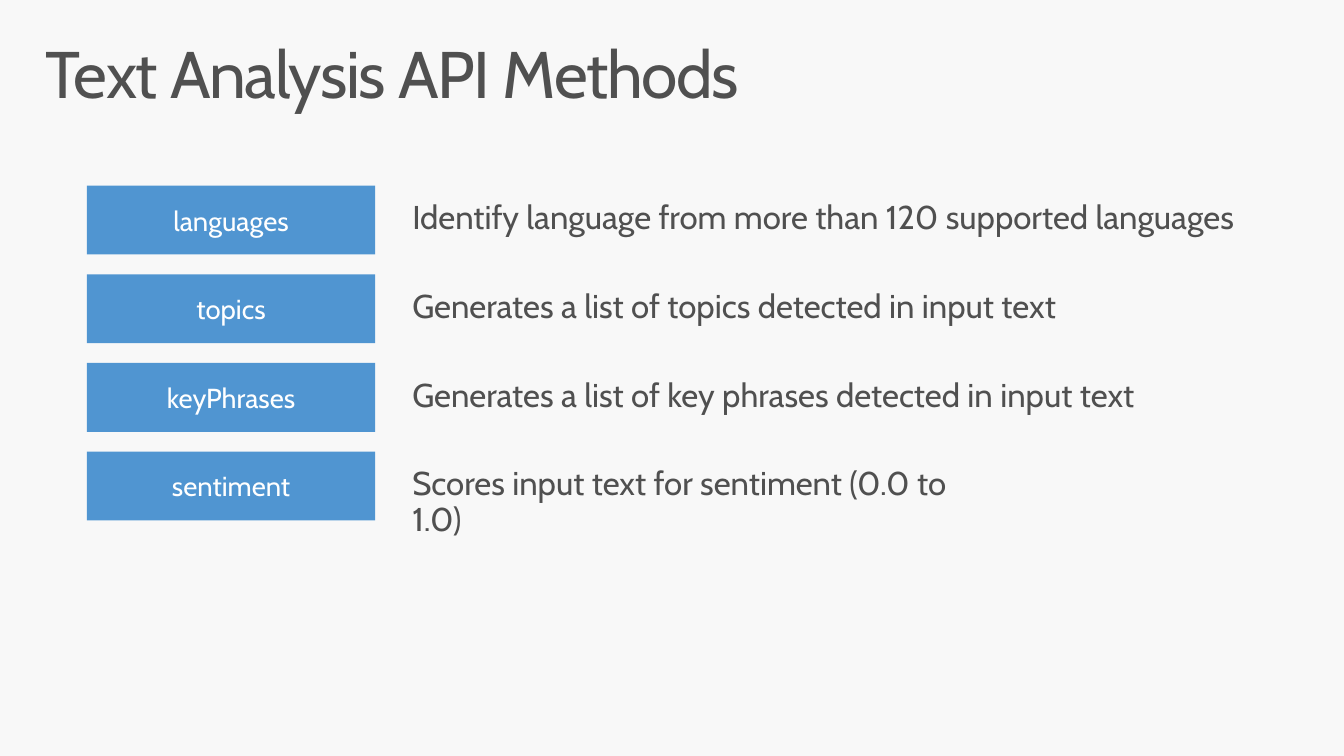
"""Builds the slide that lists the text analysis API methods."""
from dataclasses import dataclass

from pptx import Presentation
from pptx.dml.color import RGBColor
from pptx.enum.shapes import MSO_SHAPE
from pptx.enum.text import MSO_ANCHOR, MSO_AUTO_SIZE, PP_ALIGN
from pptx.slide import Slide
from pptx.text.text import TextFrame
from pptx.util import Pt


@dataclass(frozen=True)
class Theme:
    font: str = "Cabin"
    background: RGBColor = RGBColor(0xF8, 0xF8, 0xF8)
    ink: RGBColor = RGBColor(0x50, 0x50, 0x50)
    accent: RGBColor = RGBColor(0x50, 0x95, 0xD1)
    on_accent: RGBColor = RGBColor(0xFF, 0xFF, 0xFF)
    title_size: int = 48
    description_size: int = 24
    method_size: int = 20


@dataclass(frozen=True)
class Method:
    name: str
    description: str
    description_width: float


THEME = Theme()
METHODS = (
    Method("languages", "Identify language from more than 120 supported languages", 634.5),
    Method("topics", "Generates a list of topics detected in input text", 498.5),
    Method("keyPhrases", "Generates a list of key phrases detected in input text", 568),
    Method("sentiment", "Scores input text for sentiment (0.0 to 1.0)", 448.5),
)
FIRST_ROW_TOP = 135.2
ROW_PITCH = 64.6
ROW_HEIGHT = 50.2
METHOD_LEFT = 63.4
METHOD_WIDTH = 210
DESCRIPTION_LEFT = 286


def write(frame: TextFrame, text: str, size: int, color: RGBColor,
          align: PP_ALIGN, anchor: MSO_ANCHOR, line_spacing: float = 1.0) -> None:
    frame.word_wrap = True
    frame.auto_size = MSO_AUTO_SIZE.NONE
    frame.vertical_anchor = anchor
    line = frame.paragraphs[0]
    line.text = text
    line.alignment = align
    line.line_spacing = line_spacing
    line.font.name = THEME.font
    line.font.size = Pt(size)
    line.font.color.rgb = color


def set_insets(frame: TextFrame, across: float, down: float) -> None:
    frame.margin_left = frame.margin_right = Pt(across)
    frame.margin_top = frame.margin_bottom = Pt(down)


def draw_title(slide: Slide, text: str) -> None:
    title = slide.shapes.title
    title.left, title.top, title.width, title.height = Pt(21.6), Pt(23), Pt(936), Pt(72)
    set_insets(title.text_frame, 11.5, 7.2)
    write(title.text_frame, text, THEME.title_size, THEME.ink,
          PP_ALIGN.LEFT, MSO_ANCHOR.TOP, 0.9)
    title.text_frame.paragraphs[0].runs[0].font._element.set("spc", "-100")


def draw_method(slide: Slide, method: Method, top: float) -> None:
    label = slide.shapes.add_shape(MSO_SHAPE.RECTANGLE, Pt(METHOD_LEFT), Pt(top),
                                   Pt(METHOD_WIDTH), Pt(ROW_HEIGHT))
    label.shadow.inherit = False
    label.fill.solid()
    label.fill.fore_color.rgb = THEME.accent
    label.line.fill.background()
    write(label.text_frame, method.name, THEME.method_size, THEME.on_accent,
          PP_ALIGN.CENTER, MSO_ANCHOR.MIDDLE)

    description = slide.shapes.add_textbox(Pt(DESCRIPTION_LEFT), Pt(top),
                                           Pt(method.description_width), Pt(ROW_HEIGHT))
    set_insets(description.text_frame, 14.4, 11.5)
    write(description.text_frame, method.description, THEME.description_size, THEME.ink,
          PP_ALIGN.LEFT, MSO_ANCHOR.TOP, 0.9)


def main() -> None:
    deck = Presentation()
    deck.slide_width, deck.slide_height = Pt(979.2), Pt(550.8)
    slide = deck.slides.add_slide(deck.slide_layouts.get_by_name("Title Only"))
    slide.background.fill.solid()
    slide.background.fill.fore_color.rgb = THEME.background
    draw_title(slide, "Text Analysis API Methods")
    for row, method in enumerate(METHODS):
        draw_method(slide, method, FIRST_ROW_TOP + row * ROW_PITCH)
    deck.save("out.pptx")


if __name__ == "__main__":
    main()
